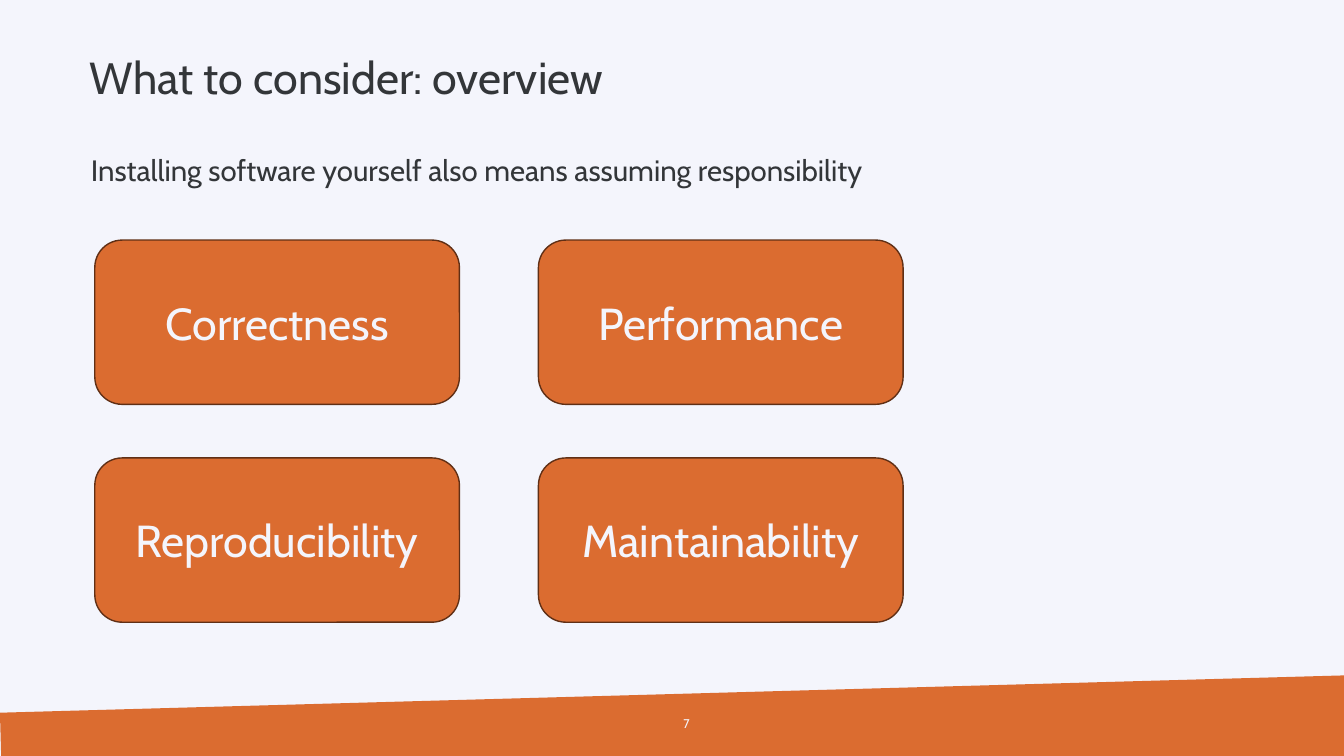
import pptx
import pptx.util
import pptx.dml.color
import pptx.enum.shapes
import pptx.enum.text

Cm = pptx.util.Cm
Pt = pptx.util.Pt
RGBColor = pptx.dml.color.RGBColor
Align = pptx.enum.text.PP_ALIGN
Anchor = pptx.enum.text.MSO_ANCHOR

PAPER = RGBColor(0xF4, 0xF5, 0xFC)
RUST = RGBColor(0xDB, 0x6C, 0x30)
BROWN = RGBColor(0x60, 0x2F, 0x15)
INK = RGBColor(0x33, 0x36, 0x39)

WIDE, HIGH = 33.87, 19.05
TOPICS = [["Correctness", "Performance"],
          ["Reproducibility", "Maintainability"]]


def write(frame, text, size, color=INK, align=Align.LEFT,
          anchor=Anchor.MIDDLE, space=1.0, inset=None):
    frame.word_wrap = True
    frame.auto_size = pptx.enum.text.MSO_AUTO_SIZE.NONE
    frame.vertical_anchor = anchor
    if inset is not None:
        frame.margin_left = frame.margin_right = Cm(inset)
        frame.margin_top = frame.margin_bottom = Cm(inset)
    para = frame.paragraphs[0]
    para.alignment = align
    para.line_spacing = space
    para.space_before = Pt(0)
    run = para.add_run()
    run.text = text
    run.font.name = "Cabin"
    run.font.size = Pt(size)
    run.font.color.rgb = color


class Deck:
    def __init__(self):
        self.show = pptx.Presentation()
        self.show.slide_width = Cm(WIDE)
        self.show.slide_height = Cm(HIGH)
        self.slide = self.show.slides.add_slide(self.show.slide_layouts[5])
        back = self.slide.background.fill
        back.solid()
        back.fore_color.rgb = PAPER

    def paint(self, shape):
        shape.shadow.inherit = False
        shape.fill.solid()
        shape.fill.fore_color.rgb = RUST

    def title(self, text, left, top, width, height):
        head = self.slide.shapes.title
        head.left, head.top = Cm(left), Cm(top)
        head.width, head.height = Cm(width), Cm(height)
        write(head.text_frame, text, 32, space=0.9)

    def label(self, text, left, top, width, height, **style):
        box = self.slide.shapes.add_textbox(
            Cm(left), Cm(top), Cm(width), Cm(height))
        write(box.text_frame, text, **style)

    def card(self, text, left, top, width, height):
        card = self.slide.shapes.add_shape(
            pptx.enum.shapes.MSO_SHAPE.ROUNDED_RECTANGLE,
            Cm(left), Cm(top), Cm(width), Cm(height))
        self.paint(card)
        card.line.color.rgb = BROWN
        card.line.width = Pt(1)
        write(card.text_frame, text, 32, color=PAPER, align=Align.CENTER)

    def wedge(self, points):
        first, *rest = [(Cm(x), Cm(y)) for x, y in points]
        form = self.slide.shapes.build_freeform(*first)
        form.add_line_segments(rest, close=True)
        wedge = form.convert_to_shape()
        self.paint(wedge)
        wedge.line.fill.background()


def main():
    deck = Deck()
    deck.wedge([(0, 17.96), (WIDE, 17.02), (WIDE, HIGH), (0.03, HIGH)])
    deck.label("7", 16.23, 17.73, 1.4, 1.02,
               size=9, color=PAPER, align=Align.RIGHT)
    deck.title("What to consider: overview", 2.01, 0.91, 30.86, 2.21)
    deck.label("Installing software yourself also means assuming responsibility",
               2.29, 3.4, 29.06, 12.78,
               size=21, anchor=Anchor.TOP, space=1.5, inset=0)
    for row, names in enumerate(TOPICS):
        for col, name in enumerate(names):
            deck.card(name, 2.39 + col * 11.18, 6.05 + row * 5.49, 9.19, 4.14)
    deck.show.save("out.pptx")


if __name__ == "__main__":
    main()
